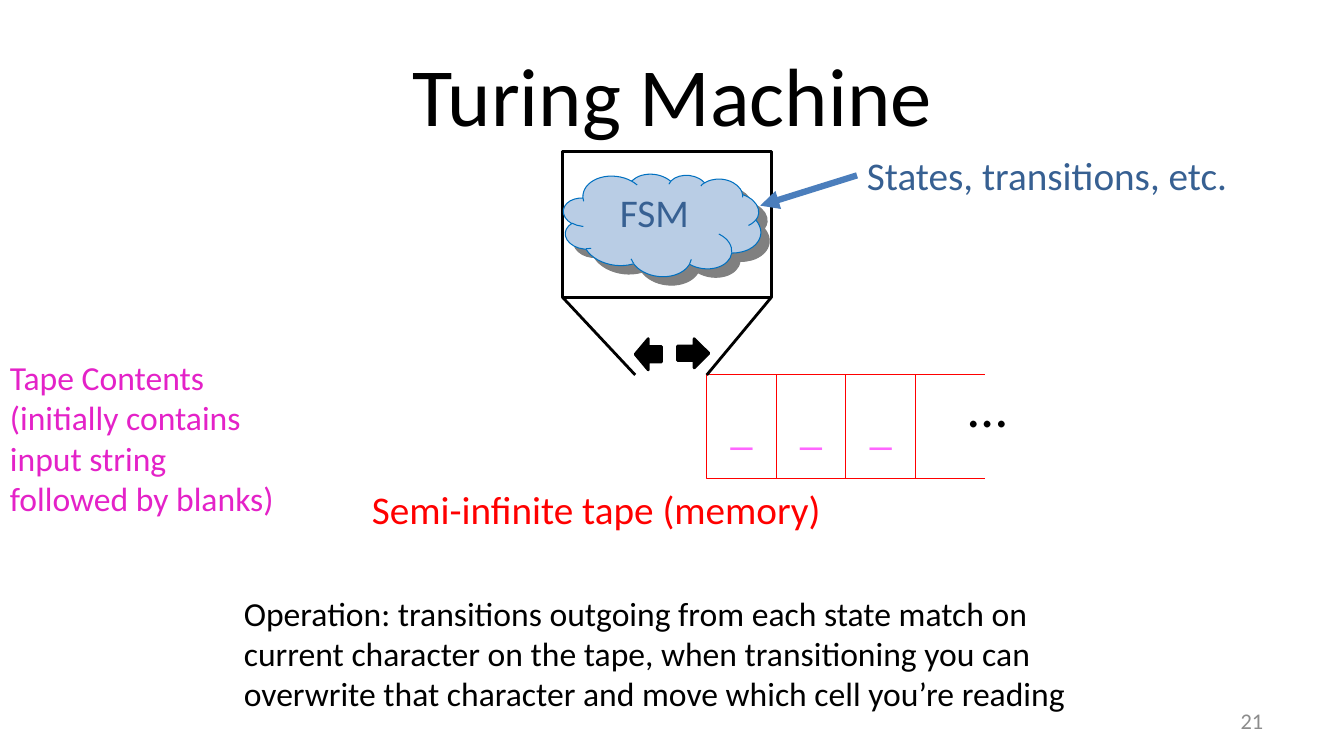
import dataclasses
import pptx
import pptx.dml.color
import pptx.enum.shapes
import pptx.enum.text
import pptx.oxml
import pptx.oxml.ns
import pptx.util

SHAPE = pptx.enum.shapes.MSO_SHAPE
ALIGN = pptx.enum.text.PP_ALIGN
ANCHOR = pptx.enum.text.MSO_ANCHOR
AUTO = pptx.enum.text.MSO_AUTO_SIZE
EMU_PER_PX = 9144


@dataclasses.dataclass(frozen=True)
class Theme:
    font: str = "Calibri"
    black: str = "000000"
    gray: str = "8C8C8C"
    red: str = "FF0000"
    pink: str = "FF66FF"
    magenta: str = "E422C8"
    navy: str = "376092"
    arrow: str = "4B7EBC"
    cloud: str = "B9CDE5"
    cloud_line: str = "0070C0"
    shadow: str = "808080"
    title: int = 59
    dots: int = 40
    symbol: int = 32
    label: int = 28
    note: int = 24
    number: int = 16
    thin: float = 0.75
    medium: float = 2
    thick: float = 4.5


def px(*lengths):
    return [length * EMU_PER_PX for length in lengths]


def rgb(color):
    return pptx.dml.color.RGBColor.from_string(color)


def element(xml):
    return pptx.oxml.parse_xml(xml.replace(">", f" {pptx.oxml.ns.nsdecls('a')}>", 1))


class Slide:
    def __init__(self, theme, page):
        self.theme = theme
        self.page = page

    def fill_text(self, box, text, size, color, align=ALIGN.LEFT, anchor=ANCHOR.TOP,
                  margins=(10, 5), wrap=True):
        frame = box.text_frame
        frame.text = text
        frame.auto_size = AUTO.NONE
        frame.word_wrap = wrap
        frame.vertical_anchor = anchor
        frame.margin_left = frame.margin_right = px(margins[0])[0]
        frame.margin_top = frame.margin_bottom = px(margins[1])[0]
        for para in frame.paragraphs:
            para.alignment = align
            para.font.name = self.theme.font
            para.font.size = pptx.util.Pt(size)
            para.font.color.rgb = rgb(color)

    def title(self, text, left, top, width, height):
        box = self.page.shapes.title
        box.left, box.top, box.width, box.height = px(left, top, width, height)
        self.fill_text(box, text, self.theme.title, self.theme.black,
                       ALIGN.CENTER, ANCHOR.MIDDLE, (13, 7))

    def text(self, text, area, size, color, **options):
        self.fill_text(self.page.shapes.add_textbox(*px(*area)), text, size, color, **options)

    def label(self, text, area, color):
        self.text(text, area, self.theme.label, color, margins=(10, 0), wrap=False)

    def shape(self, kind, area, line, weight, fill=None):
        shape = self.page.shapes.add_shape(kind, *px(*area))
        shape.shadow.inherit = False
        if fill:
            shape.fill.solid()
            shape.fill.fore_color.rgb = rgb(fill)
        else:
            shape.fill.background()
        shape.line.color.rgb = rgb(line)
        shape.line.width = pptx.util.Pt(weight)
        return shape

    def cloud(self, area, rotation):
        theme = self.theme
        cloud = self.shape(SHAPE.CLOUD, area, theme.cloud_line, theme.thin, theme.cloud)
        cloud.rotation = rotation
        effects = cloud._element.spPr.find(pptx.oxml.ns.qn("a:effectLst"))
        effects.append(element(
            '<a:outerShdw dist="107950" dir="2700000" algn="ctr" rotWithShape="0">'
            f'<a:srgbClr val="{theme.shadow}"/></a:outerShdw>'))

    def line(self, start, end, color, weight, arrow=False):
        line = self.page.shapes.add_connector(
            pptx.enum.shapes.MSO_CONNECTOR.STRAIGHT, *px(*start, *end))
        line.line.color.rgb = rgb(color)
        line.line.width = pptx.util.Pt(weight)
        if arrow:
            outline = line._element.spPr.find(pptx.oxml.ns.qn("a:ln"))
            outline.append(element('<a:tailEnd type="triangle"></a:tailEnd>'))
        line._element.spPr.append(element("<a:effectLst></a:effectLst>"))

    def tape(self, left, top, cell_width, height, symbols):
        theme = self.theme
        for index, symbol in enumerate(symbols):
            area = (left + index * cell_width, top, cell_width, height)
            cell = self.shape(SHAPE.RECTANGLE, area, theme.red, theme.thin)
            self.fill_text(cell, symbol, theme.symbol, theme.pink,
                           ALIGN.CENTER, ANCHOR.MIDDLE, (0, 0))
        end = left + len(symbols) * cell_width
        for edge in (top, top + height):
            self.line((end, edge), (end + cell_width, edge), theme.red, theme.thin)
        self.text("…", (951, 364, 54, 77), theme.dots, theme.black, wrap=False)

    def machine(self):
        theme = self.theme
        self.shape(SHAPE.RECTANGLE, (558, 150, 207, 145), theme.black, theme.medium)
        self.cloud((558, 171, 197, 103), 6.5)
        self.label("FSM", (605, 187, 89, 47), theme.navy)
        for tip, corner in ((630, 558), (701, 765)):
            self.line((tip, 372), (corner, 295), theme.black, theme.medium)
        for kind, area in ((SHAPE.RIGHT_ARROW, (672, 336, 31, 29)),
                           (SHAPE.LEFT_ARROW, (630, 336, 26, 31))):
            self.shape(kind, area, theme.black, theme.medium, theme.black)


def main():
    theme = Theme()
    deck = pptx.Presentation()
    deck.slide_width, deck.slide_height = px(1333, 750)
    slide = Slide(theme, deck.slides.add_slide(deck.slide_layouts[5]))
    slide.title("Turing Machine", 67, 30, 1200, 125)
    slide.text("21", (955, 695, 311, 40), theme.number, theme.gray,
               align=ALIGN.RIGHT, anchor=ANCHOR.MIDDLE, margins=(13, 7))
    slide.tape(701, 372, 69, 103, "___")
    slide.machine()
    slide.label("States, transitions, etc.", (850, 150, 382, 47), theme.navy)
    slide.line((850, 174), (754, 204), theme.arrow, theme.thick, arrow=True)
    slide.label("Semi-infinite tape (memory)", (359, 481, 470, 47), theme.red)
    slide.text("Tape Contents\n(initially contains input string followed by blanks)",
               (0, 349, 291, 172), theme.note, theme.magenta)
    slide.text("Operation: transitions outgoing from each state match on current character "
               "on the tape, when transitioning you can overwrite that character and move "
               "which cell you’re reading", (232, 583, 879, 131), theme.note, theme.black)
    deck.save("out.pptx")


if __name__ == "__main__":
    main()
